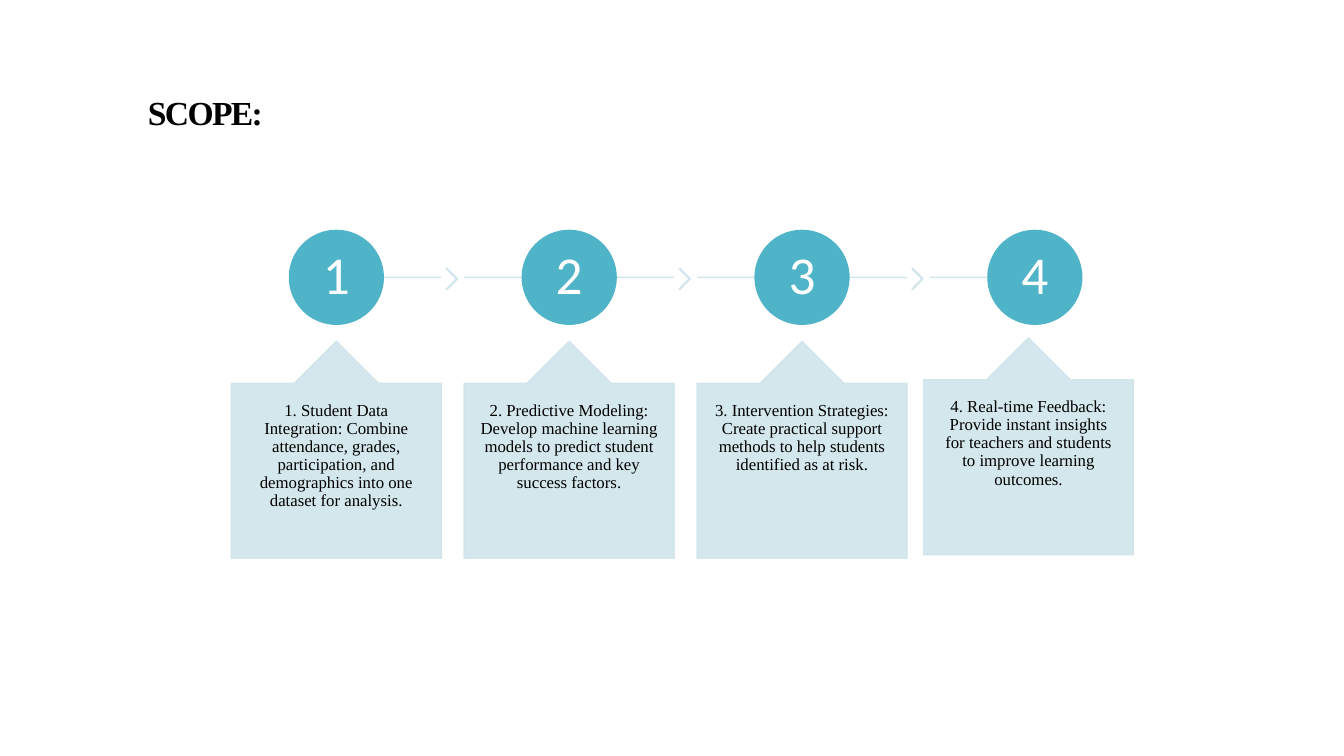
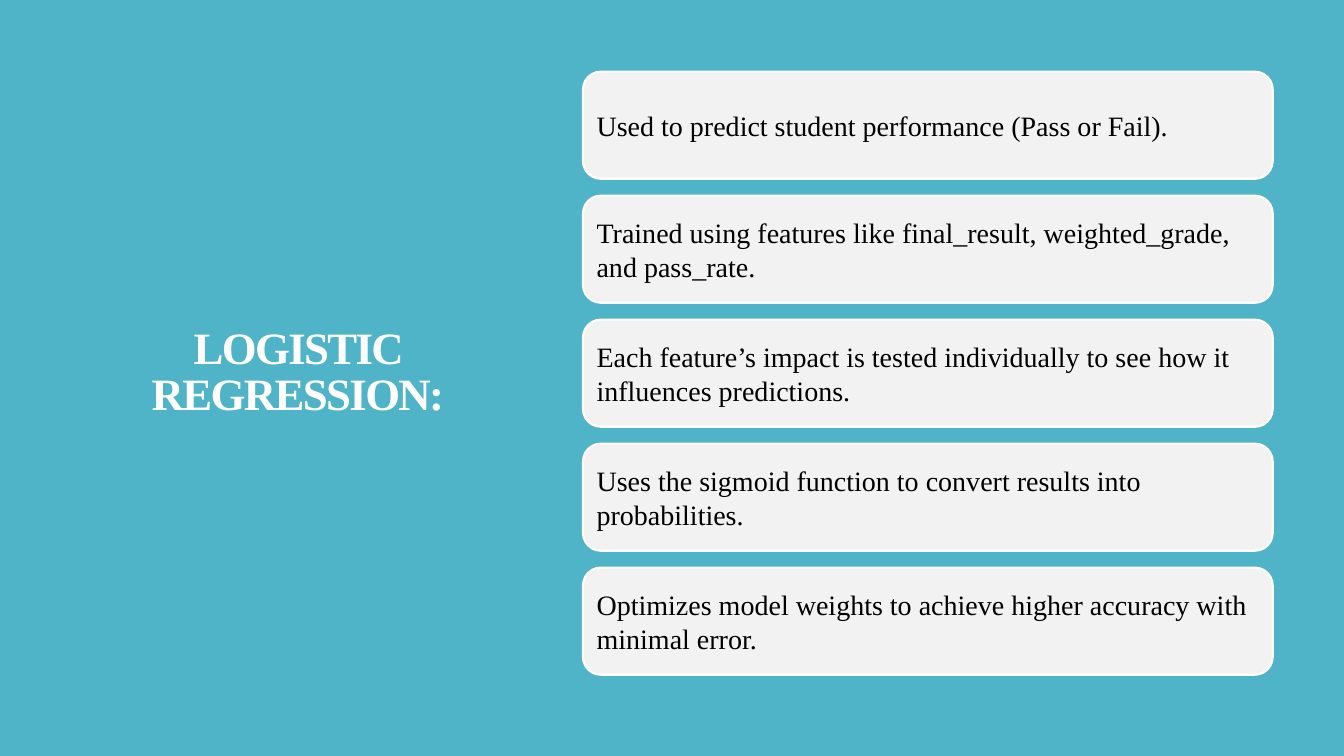
from lxml.etree import SubElement
from pptx import Presentation
from pptx.dml.color import RGBColor
from pptx.enum.shapes import MSO_CONNECTOR, MSO_SHAPE
from pptx.enum.text import MSO_ANCHOR, PP_ALIGN
from pptx.oxml.ns import qn
from pptx.util import Pt

COLORS = {
    "teal": "50B4C8",
    "pale": "D0E5EB",
    "panel": "F2F2F2",
    "white": "FFFFFF",
    "black": "000000",
}
SERIF, SANS = "Times New Roman", "Calibri"
PALE_OPACITY = 90

STEPS = [
    "1. Student Data Integration: Combine attendance, grades, participation, "
    "and demographics into one dataset for analysis.",
    "2. Predictive Modeling: Develop machine learning models to predict "
    "student performance and key success factors.",
    "3. Intervention Strategies: Create practical support methods to help "
    "students identified as at risk.",
    "4. Real-time Feedback: Provide instant insights for teachers and "
    "students to improve learning outcomes.",
]
REGRESSION_POINTS = [
    "Used to predict student performance (Pass or Fail).",
    "Trained using features like final_result, weighted_grade, and pass_rate.",
    "Each feature’s impact is tested individually to see how it influences predictions.",
    "Uses the sigmoid function to convert results into probabilities.",
    "Optimizes model weights to achieve higher accuracy with minimal error.",
]


def rgb(name):
    return RGBColor.from_string(COLORS[name])


def paint(fill, color):
    """Solid colour; the pale tint is slightly transparent."""
    fill.solid()
    fill.fore_color.rgb = rgb(color)
    if color == "pale":
        for tint in fill._xPr.iter(qn("a:srgbClr")):
            SubElement(tint, qn("a:alpha"), val=str(PALE_OPACITY * 1000))


def add_page(deck, background):
    page = deck.slides.add_slide(deck.slide_layouts[6])
    paint(page.background.fill, background)
    return page


def write(shape, text, size, color, font=SERIF, align=PP_ALIGN.CENTER,
          anchor=MSO_ANCHOR.MIDDLE, spacing=0.9, insets=(3, 3)):
    frame = shape.text_frame
    frame.word_wrap = True
    frame.vertical_anchor = anchor
    frame.margin_left = frame.margin_right = Pt(insets[0])
    frame.margin_top = frame.margin_bottom = Pt(insets[1])
    para = frame.paragraphs[0]
    para.alignment = align
    para.line_spacing = spacing
    span = para.add_run()
    span.text = text
    span.font.name = font
    span.font.size = Pt(size)
    span.font.color.rgb = rgb(color)
    return span


def add_title(page, box, text, size, color, align):
    title = page.shapes.add_textbox(*map(Pt, box))
    span = write(title, text, size, color, align=align, spacing=0.85,
                 insets=(7.2, 3.6))
    span.font.bold = True
    span.font._element.set("spc", "-120")


def add_block(page, kind, box, fill, line, weight=1, adjustments=()):
    block = page.shapes.add_shape(kind, *map(Pt, box))
    block.shadow.inherit = False
    paint(block.fill, fill)
    paint(block.line.fill, line)
    block.line.width = Pt(weight)
    for index, value in enumerate(adjustments):
        block.adjustments[index] = value
    return block


def add_rule(page, start, end, y):
    rule = page.shapes.add_connector(
        MSO_CONNECTOR.STRAIGHT, Pt(start), Pt(y), Pt(end), Pt(y))
    paint(rule.line.fill, "pale")
    rule.line.width = Pt(1)
    SubElement(rule._element.spPr, qn("a:effectLst"))


def add_timeline(page, left, top, texts):
    """Numbered circles on a broken line, each above a callout card."""
    width, pitch, circle = 150, 166.3, 67
    card_top, card_height = 79.2, 155
    axis = top + circle / 2
    last = len(texts) - 1
    for index, text in enumerate(texts):
        x = left + index * pitch
        middle = x + width / 2
        # Line and chevron towards the next step
        add_rule(page, x if index else middle,
                 x + width if index < last else middle, axis)
        if index < last:
            add_block(page, MSO_SHAPE.CHEVRON, (x + width + 3.5, axis - 6.2, 8, 14.6),
                      "pale", "pale", adjustments=[0.9])
        # Numbered circle
        badge = add_block(page, MSO_SHAPE.OVAL,
                          (middle - circle / 2, top, circle, circle), "teal", "teal")
        write(badge, str(index + 1), 38, "white", font=SANS)
        # Callout card; the last one sits slightly up and to the left
        shift_x, shift_y = (-4.5, -2.5) if index == last else (0, 0)
        card = add_block(page, MSO_SHAPE.UP_ARROW_CALLOUT,
                         (x + shift_x, top + card_top + shift_y, width, card_height),
                         "pale", "pale", adjustments=[0.5, 0.2, 0.2, 1])
        write(card, text, 12, "black", anchor=MSO_ANCHOR.TOP, insets=(11.5, 13))


def add_panels(page, left, top, width, texts):
    """Evenly spaced rounded panels, one statement each."""
    height, pitch = 76.5, 88.56
    for index, text in enumerate(texts):
        panel = add_block(page, MSO_SHAPE.ROUNDED_RECTANGLE,
                          (left, top + index * pitch, width, height),
                          "panel", "white", weight=1.5)
        write(panel, text, 20, "black", align=PP_ALIGN.LEFT, spacing=1.0, insets=(6, 6))


def build_scope(deck):
    page = add_page(deck, "white")
    add_title(page, (98.6, 59, 645, 46.8), "SCOPE:", 24, "black", PP_ALIGN.LEFT)
    add_timeline(page, 165.3, 164.6, STEPS)


def build_regression(deck):
    page = add_page(deck, "teal")
    add_title(page, (55.5, 50.4, 314.6, 432.7), "LOGISTIC REGRESSION:", 32,
              "white", PP_ALIGN.CENTER)
    add_panels(page, 416.4, 51.2, 492.7, REGRESSION_POINTS)


def main():
    deck = Presentation()
    deck.slide_width, deck.slide_height = Pt(960), Pt(540)
    build_scope(deck)
    build_regression(deck)
    deck.save("out.pptx")


if __name__ == "__main__":
    main()
